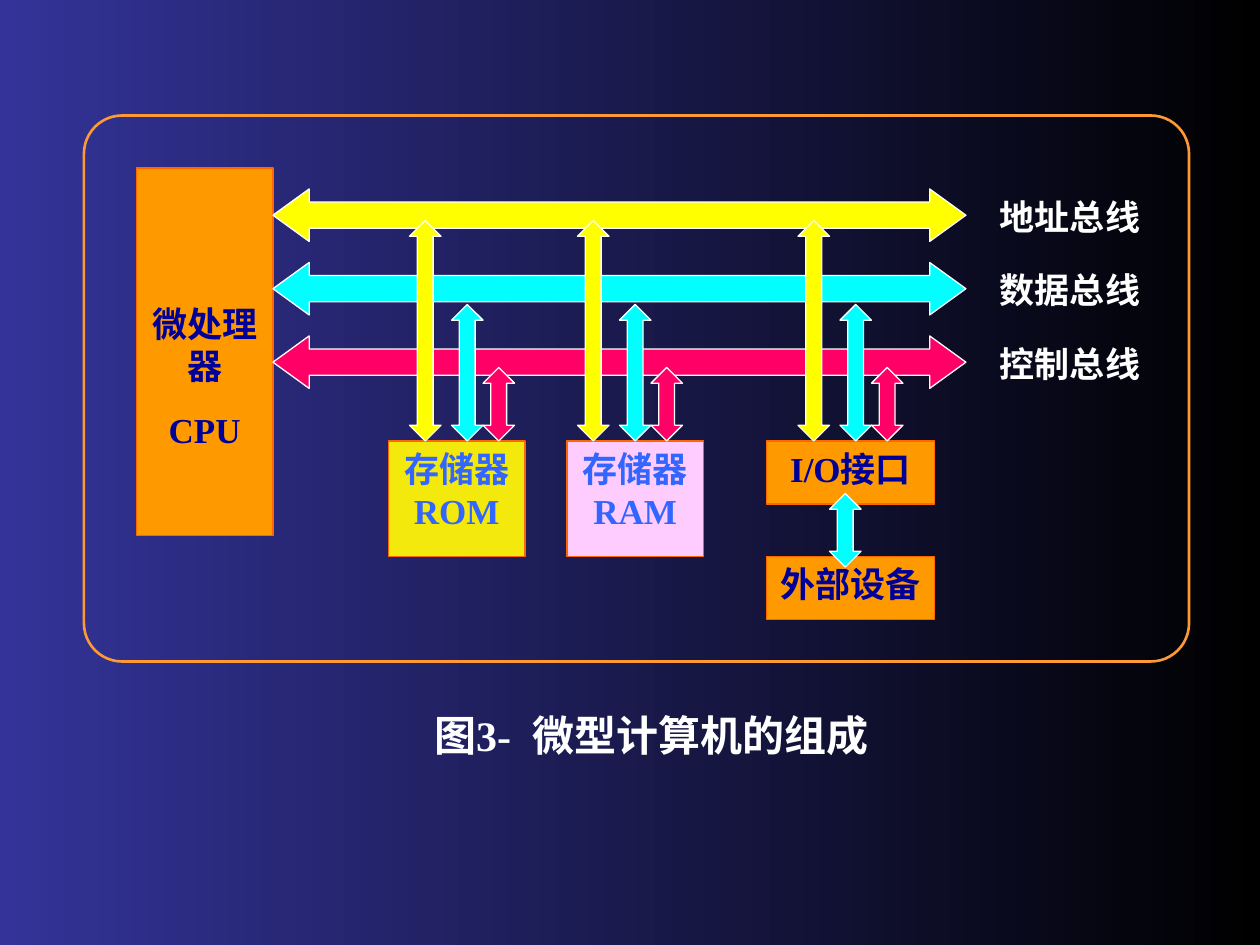
from pptx import Presentation
from pptx.dml.color import RGBColor
from pptx.enum.shapes import MSO_SHAPE as Shape
from pptx.enum.text import MSO_ANCHOR as Anchor, MSO_AUTO_SIZE as AutoSize, PP_ALIGN as Align
from pptx.util import Pt

FONT = "Times New Roman"
INDIGO = RGBColor(0x33, 0x33, 0x99)
BLACK = RGBColor(0, 0, 0)
WHITE = RGBColor(0xFF, 0xFF, 0xFF)
NAVY = RGBColor(0, 0, 0x99)
BLUE = RGBColor(0x33, 0x66, 0xFF)
ORANGE = RGBColor(0xFF, 0x99, 0)
FRAME_ORANGE = RGBColor(0xFF, 0x99, 0x33)
DARK_ORANGE = RGBColor(0xFF, 0x66, 0)
LEMON = RGBColor(0xF4, 0xE9, 0x0C)
PINK = RGBColor(0xFF, 0xCC, 0xFF)
YELLOW = RGBColor(0xFF, 0xFF, 0)
CYAN = RGBColor(0, 0xFF, 0xFF)
RED = RGBColor(0xFF, 0, 0x66)

BUS_HEIGHT = 30
BRANCH_WIDTH = 18
UNIT_TOP = 252
# Label, colour and top of the branches of each bus, with their offset
BUSES = [
    ("地址总线", YELLOW, 126, 0),
    ("数据总线", CYAN, 174, 24),
    ("控制总线", RED, 210, 42),
]


def add_shape(page, kind, box, fill, line, weight=0.75):
    shape = page.shapes.add_shape(kind, *map(Pt, box))
    shape.shadow.inherit = False
    if fill is None:
        shape.fill.background()
    else:
        shape.fill.solid()
        shape.fill.fore_color.rgb = fill
    shape.line.color.rgb = line
    shape.line.width = Pt(weight)
    return shape


def add_span(para, text, size, color):
    span = para.add_run()
    span.text = text
    span.font.name = FONT
    span.font.size = Pt(size)
    span.font.bold = True
    span.font.color.rgb = color
    return span


def add_unit(page, box, lines, fill, color, inset_top=3.6):
    frame = add_shape(page, Shape.RECTANGLE, box, fill, DARK_ORANGE).text_frame
    frame.word_wrap = True
    frame.vertical_anchor = Anchor.TOP
    frame.margin_top = Pt(inset_top)
    for index, line in enumerate(lines):
        para = frame.add_paragraph() if index else frame.paragraphs[0]
        para.alignment = Align.CENTER
        para.space_before = Pt(12.5 if index else 0)
        add_span(para, line, 20, color)


def add_label(page, box, align):
    frame = page.shapes.add_textbox(*map(Pt, box)).text_frame
    frame.word_wrap = False
    frame.auto_size = AutoSize.SHAPE_TO_FIT_TEXT
    para = frame.paragraphs[0]
    para.alignment = align
    return para


def add_vertical_arrow(page, left, top, height, color):
    box = (left, top, BRANCH_WIDTH, height)
    arrow = add_shape(page, Shape.UP_DOWN_ARROW, box, color, WHITE)
    # For this preset the head length comes first, then the shaft width
    arrow.adjustments[0] = 0.2 * height / BRANCH_WIDTH
    arrow.adjustments[1] = 0.5


def add_buses(page, left, top, width, pitch):
    for index, (name, color, _, _) in enumerate(BUSES):
        bus_top = top + index * pitch
        box = (left, bus_top, width, BUS_HEIGHT)
        bus = add_shape(page, Shape.LEFT_RIGHT_ARROW, box, color, WHITE)
        bus.adjustments[0] = 0.5
        bus.adjustments[1] = 0.69
        label_box = (left + width + 11, bus_top, 97, 32)
        add_span(add_label(page, label_box, Align.CENTER), name, 20, WHITE)


def add_branches(page, left, bottom):
    for _, color, top, offset in BUSES:
        add_vertical_arrow(page, left + offset, top, bottom - top, color)


def add_system(page, left, top, width, height):
    # Processor and buses
    add_unit(page, (left + 30, top + 30, 78, 210), ["微处理器", "CPU"],
             ORANGE, NAVY, inset_top=77)
    add_buses(page, left + 108, top + 42, 396, 42)

    # Memory and interface units
    add_unit(page, (222, UNIT_TOP, 78, 66), ["存储器ROM"], LEMON, BLUE)
    add_unit(page, (324, UNIT_TOP, 78, 66), ["存储器RAM"], PINK, BLUE)
    add_unit(page, (438, UNIT_TOP, 96, 36), ["I/O接口"], ORANGE, NAVY)
    add_unit(page, (438, UNIT_TOP + 66, 96, 36), ["外部设备"], ORANGE, NAVY)

    # Links to the buses and to the external device
    for branch_left in (234, 330, 456):
        add_branches(page, branch_left, UNIT_TOP)
    add_vertical_arrow(page, 474, 282, 42, CYAN)

    # Frame around the system
    frame = add_shape(page, Shape.ROUNDED_RECTANGLE,
                      (left, top, width, height), None, FRAME_ORANGE, 1.5)
    frame.adjustments[0] = 0.07


def add_caption(page, box):
    para = add_label(page, box, Align.LEFT)
    add_span(para, "图3-", 24, WHITE)
    gap = add_span(para, " ", 24, WHITE)
    gap._r.get_or_add_rPr().set("spc", "600")  # widen the gap by 6 pt
    add_span(para, "微型计算机的组成", 24, WHITE)


def set_background(page):
    fill = page.background.fill
    fill.gradient()
    fill.gradient_angle = 0
    for stop, color, position in zip(fill.gradient_stops, (INDIGO, BLACK), (0, 1)):
        stop.color.rgb = color
        stop.position = position


def main():
    deck = Presentation()
    deck.slide_width, deck.slide_height = Pt(720), Pt(540)
    page = deck.slides.add_slide(deck.slide_layouts[6])
    set_background(page)
    add_system(page, 48, 66, 631.5, 312)
    add_caption(page, (241, 402, 278, 36))
    deck.save("out.pptx")


if __name__ == "__main__":
    main()
